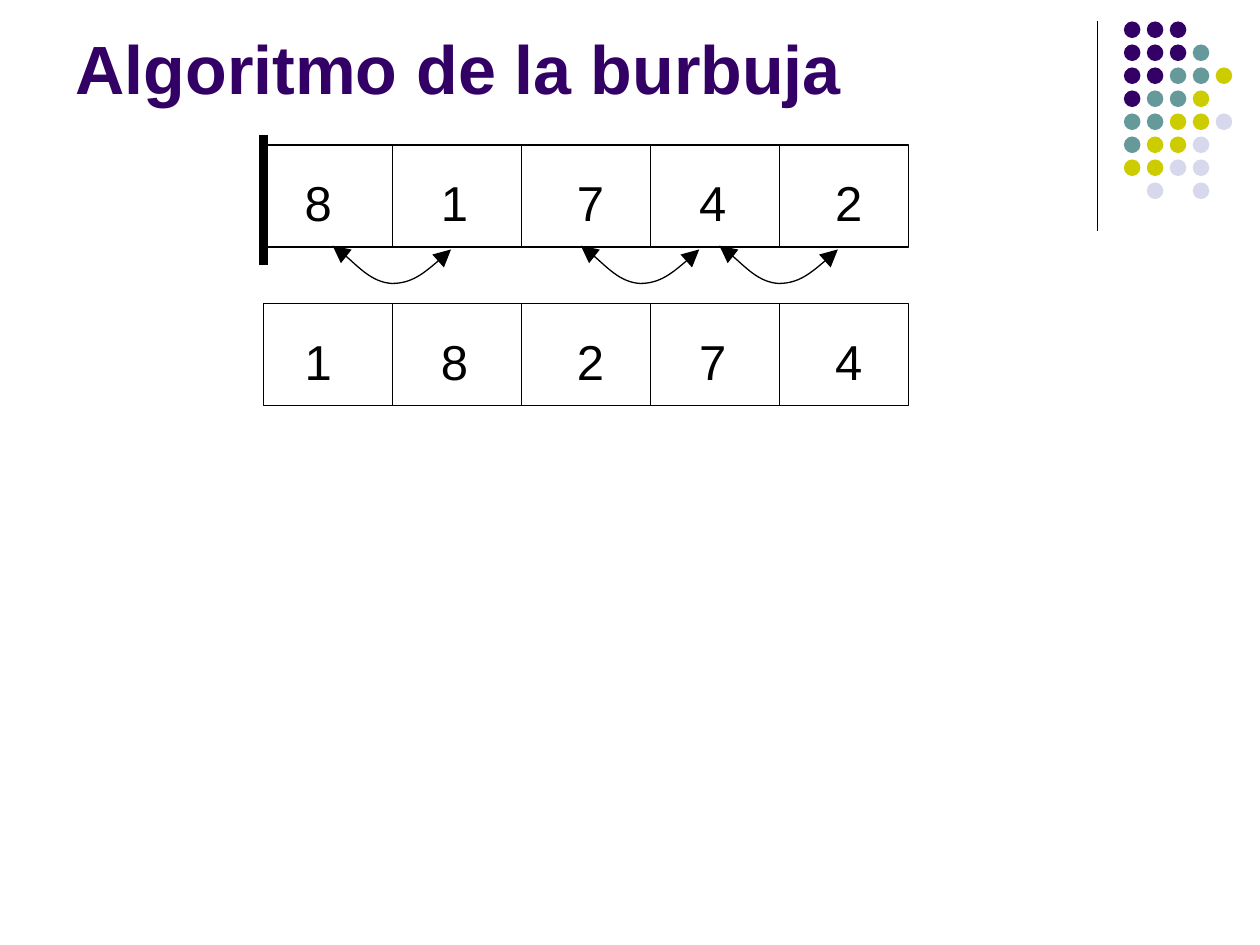
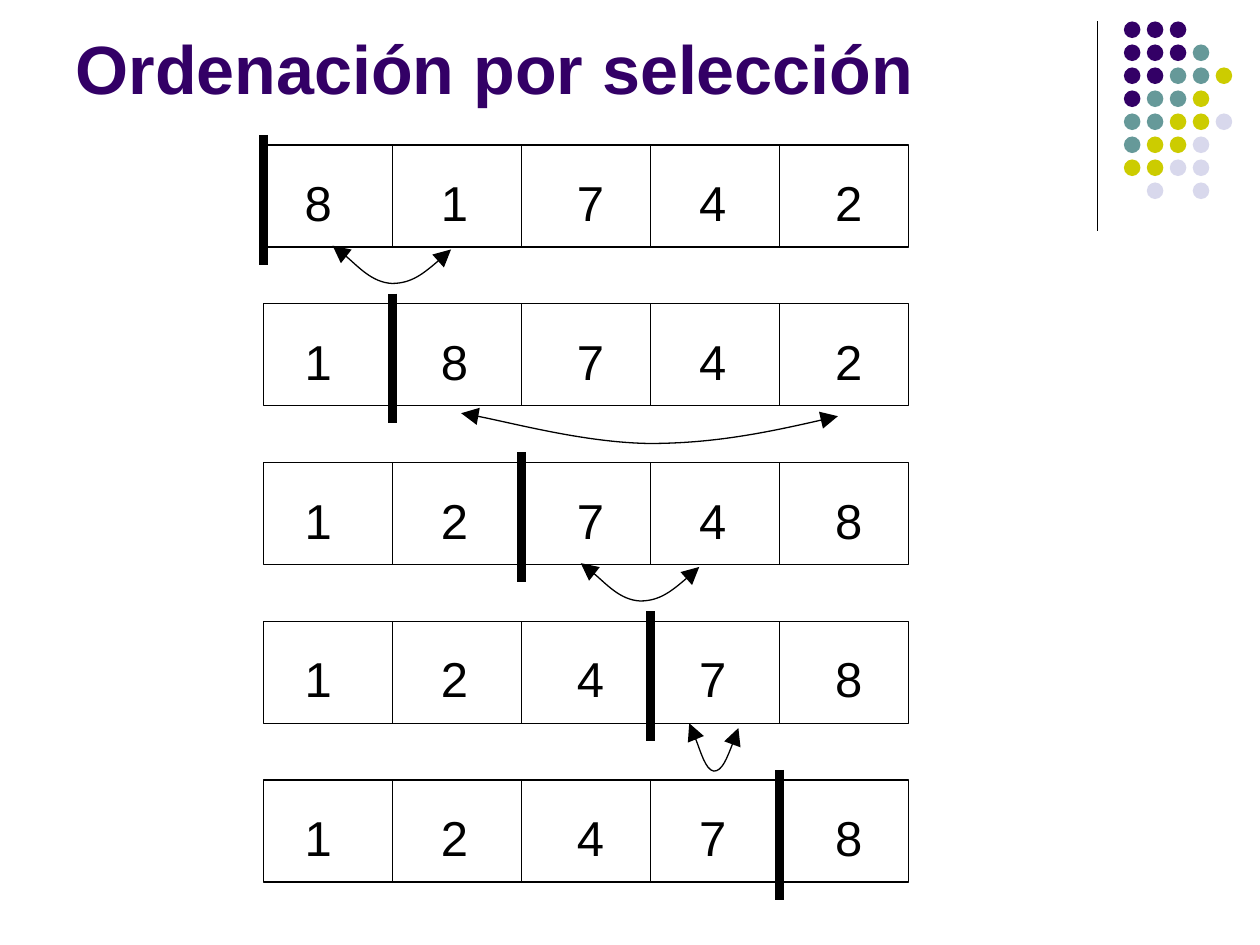
import pptx
import pptx.util
import pptx.dml.color
import pptx.enum.shapes
import pptx.enum.text
import pptx.oxml
import pptx.oxml.ns

Inches = pptx.util.Inches
Pt = pptx.util.Pt
RGBColor = pptx.dml.color.RGBColor
qn = pptx.oxml.ns.qn

PURPLE = RGBColor(0x33, 0x00, 0x66)
TEAL = RGBColor(0x66, 0x99, 0x99)
LIME = RGBColor(0xCC, 0xCC, 0x00)
LILAC = RGBColor(0xD8, 0xD8, 0xEC)
BLACK = RGBColor(0x00, 0x00, 0x00)
FONT = "Arial"
THIN, THICK = 0.75, 5

INKS = {"P": PURPLE, "T": TEAL, "Y": LIME, "L": LILAC}
DOTS = ["PPP", "PPPT", "PPTTY", "PTTY", "TTYYL", "TYYL", "YYLL", " L L"]

LEFT, TOP, WIDE, HIGH, STEP = 2.09, 1.15, 5.12, 0.81, 1.26
CELL = WIDE / 5
TABS = [1.08, 2.16, 3.13, 4.21]
BEND = [(1, 0.1), (0.84, 0.57), (0.67, 1), (0.5, 1),
        (0.33, 0.97), (0.09, 0.17), (0, 0)]

FIRST = (2.64, 0.94, 0.8, 0.3)
THIRD = (4.61, 0.94, 0.8, 0.3)
FOURTH = (5.71, 0.94, 0.8, 0.3)
BROAD = (3.66, 2.99, 0.87, 0.24)
SMALL = (5.47, 0.39, 0.81, 0.38)

PAGES = [
    ("Algoritmo de la burbuja", [
        ("81742", 0, [FIRST, FOURTH, THIRD]),
        ("18274", None, []),
    ]),
    ("Ordenación por selección", [
        ("81742", 0, [FIRST]),
        ("18742", 1, [BROAD]),
        ("12748", 2, [THIRD]),
        ("12478", 3, [SMALL]),
        ("12478", 4, []),
    ]),
]


def add_node(parent, tag, **attrs):
    node = pptx.oxml.parse_xml(f"<a:{tag} {pptx.oxml.ns.nsdecls('a')}/>")
    for key, value in attrs.items():
        node.set(key, value)
    parent.append(node)
    return node


class Deck:
    def __init__(self):
        self.file = pptx.Presentation()
        self.file.slide_width = Inches(10)
        self.file.slide_height = Inches(7.5)
        self.layout = self.file.slide_layouts[5]
        self.slide = None

    def page(self, title):
        self.slide = self.file.slides.add_slide(self.layout)
        shape = self.slide.shapes.title
        shape.left, shape.top = Inches(0.5), Inches(0.13)
        shape.width, shape.height = Inches(8.25), Inches(0.78)
        frame = shape.text_frame
        frame.text = title
        frame.auto_size = pptx.enum.text.MSO_AUTO_SIZE.NONE
        frame.vertical_anchor = pptx.enum.text.MSO_ANCHOR.BOTTOM
        para = frame.paragraphs[0]
        para.alignment = pptx.enum.text.PP_ALIGN.LEFT
        self.style(para, 39, PURPLE, True)

    def style(self, para, size, color, bold=False):
        para.font.name = FONT
        para.font.size = Pt(size)
        para.font.bold = bold
        para.font.color.rgb = color

    def stroke(self, shape, width):
        shape.line.color.rgb = BLACK
        shape.line.width = Pt(width)

    def rule(self, x, top, end, width=THIN):
        line = self.slide.shapes.add_connector(
            pptx.enum.shapes.MSO_CONNECTOR.STRAIGHT,
            Inches(x), Inches(top), Inches(x), Inches(end))
        self.stroke(line, width)
        add_node(line.element.spPr, "effectLst")
        return line

    def brand(self):
        line = self.rule(8.71, 0.17, 1.83)
        group = self.slide.shapes.add_group_shape()
        for row, marks in enumerate(DOTS):
            for col, mark in enumerate(marks):
                if mark in INKS:
                    self.dot(group, 8.92 + 0.18 * col, 0.17 + 0.18 * row, INKS[mark])
        group.left, group.top = Inches(8.92), Inches(0.17)
        group.width, group.height = Inches(0.86), Inches(1.41)
        tree = self.layout.shapes.element
        tree.append(line.element)
        tree.append(group.element)
        for num, node in enumerate(tree.iter(qn("p:cNvPr")), 1):
            node.set("id", str(num))

    def dot(self, group, x, y, color):
        dot = group.shapes.add_shape(
            pptx.enum.shapes.MSO_SHAPE.OVAL,
            Inches(x), Inches(y), Inches(0.13), Inches(0.13))
        dot.shadow.inherit = False
        dot.fill.solid()
        dot.fill.fore_color.rgb = color
        dot.line.fill.background()

    def frame(self, top):
        box = self.slide.shapes.add_shape(
            pptx.enum.shapes.MSO_SHAPE.RECTANGLE,
            Inches(LEFT), Inches(top), Inches(WIDE), Inches(HIGH))
        box.shadow.inherit = False
        box.fill.background()
        self.stroke(box, THIN)

    def digits(self, text, top):
        box = self.slide.shapes.add_textbox(
            Inches(2.32), Inches(top + 0.17), Inches(4.72), Inches(0.57))
        box.text_frame.word_wrap = True
        box.text_frame.auto_size = pptx.enum.text.MSO_AUTO_SIZE.SHAPE_TO_FIT_TEXT
        para = box.text_frame.paragraphs[0]
        para.text = "\t".join(text)
        stops = add_node(para._p.get_or_add_pPr(), "tabLst")
        for stop in TABS:
            add_node(stops, "tab", pos=str(Inches(stop)), algn="l")
        self.style(para, 28, BLACK)

    def swap(self, left, top, width, depth):
        spots = [(Inches(left + width * x), Inches(top + depth * y)) for x, y in BEND]
        maker = self.slide.shapes.build_freeform(*spots[0])
        maker.add_line_segments(spots[1:], close=False)
        curve = maker.convert_to_shape()
        curve.shadow.inherit = False
        curve.fill.background()
        self.stroke(curve, THIN)
        track = next(curve.element.iter(qn("a:path")))
        lines = track.findall(qn("a:lnTo"))
        for start in range(0, len(lines), 3):
            bend = add_node(track, "cubicBezTo")
            for line in lines[start:start + 3]:
                bend.append(line[0])
                track.remove(line)
        pen = curve.element.spPr.find(qn("a:ln"))
        for tag in ("headEnd", "tailEnd"):
            add_node(pen, tag, type="triangle", w="lg", len="lg")

    def row(self, top, text, bar, swaps):
        self.frame(top)
        for edge in range(1, 5):
            self.rule(LEFT + CELL * edge, top, top + HIGH)
        self.digits(text, top)
        for left, width, drop, depth in swaps:
            self.swap(left, top + drop, width, depth)
        if bar is not None:
            self.rule(LEFT + CELL * bar, top - 0.08, top + 0.95, THICK)


def main():
    deck = Deck()
    for page, (title, rows) in enumerate(PAGES):
        deck.page(title)
        if page == 0:
            deck.brand()
        for num, row in enumerate(rows):
            deck.row(TOP + STEP * num, *row)
    deck.file.save("out.pptx")


if __name__ == "__main__":
    main()
